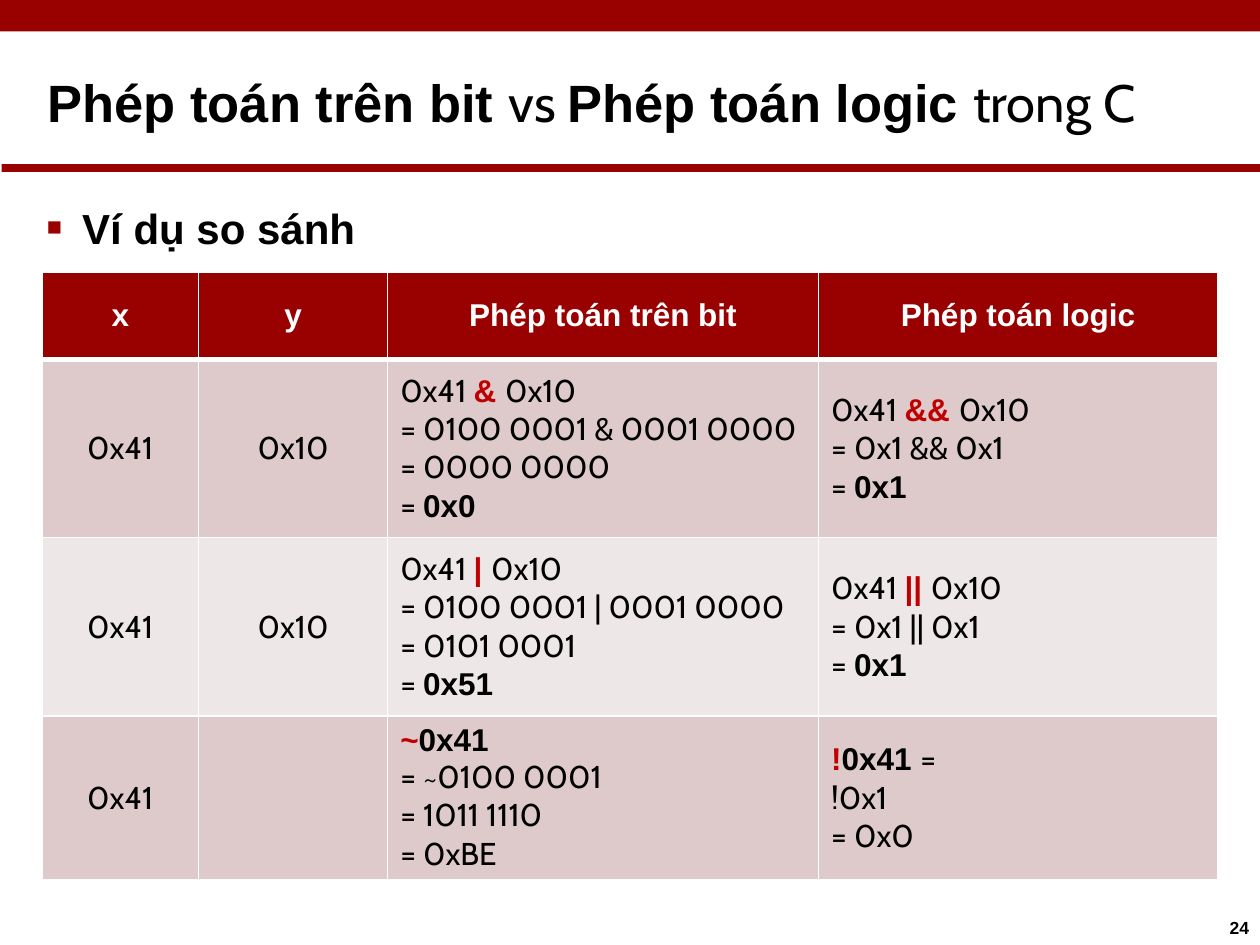
from dataclasses import dataclass
from typing import NamedTuple

from lxml.etree import SubElement
from pptx import Presentation
from pptx.dml.color import RGBColor
from pptx.enum.shapes import MSO_SHAPE
from pptx.enum.text import MSO_ANCHOR, PP_ALIGN
from pptx.oxml import parse_xml
from pptx.oxml.ns import nsdecls, qn
from pptx.util import Pt


@dataclass(frozen=True)
class Theme:
    heading_font: str = "Arial"
    body_font: str = "Cabin"
    black: str = "000000"
    white: str = "FFFFFF"
    band: str = "990000"
    operator: str = "C00000"
    dark_row: str = "DECACA"
    light_row: str = "EEE7E7"
    title_size: float = 30
    topic_size: float = 24
    table_size: float = 18
    number_size: float = 10


class Span(NamedTuple):
    text: str
    bold: bool = False
    color: str = "000000"


class Area(NamedTuple):
    left: float
    top: float
    width: float
    height: float


class Label(NamedTuple):
    area: Area
    spans: list
    size: float
    bullet: bool = False


class Row(NamedTuple):
    height: float
    fill: str
    cells: list


THEME = Theme()
COLUMN_WIDTHS = (89.5, 108, 246.25, 228)


def strong(text):
    return Span(text, True)


def operator(text):
    return Span(text, True, THEME.operator)


def header(text):
    return [[Span(text, True, THEME.white)]]


def value(text):
    return [[Span(text)]]


def comparison(symbol, steps, result):
    return [
        [Span("0x41 "), operator(f"{symbol} "), Span("0x10")],
        *[[Span(f"= {step}")] for step in steps],
        [Span("= "), strong(result)],
    ]


BANDS = (Area(0, 0, 720, 18), Area(1, 93.75, 719, 4.5))

LABELS = (
    Label(
        Area(27.25, 39.75, 680, 40),
        [strong("Phép toán trên bit "), Span("vs "), strong("Phép toán logic "), Span("trong C")],
        THEME.title_size,
    ),
    Label(Area(26, 115.5, 300, 30), [strong("Ví dụ so sánh")], THEME.topic_size, True),
    Label(Area(702.75, 523.75, 16, 14), [strong("24")], THEME.number_size),
)

ROWS = (
    Row(49.5, THEME.band, [header(name) for name in ("x", "y", "Phép toán trên bit", "Phép toán logic")]),
    Row(102, THEME.dark_row, [
        value("0x41"),
        value("0x10"),
        comparison("&", ["0100 0001 & 0001 0000", "0000 0000"], "0x0"),
        comparison("&&", ["0x1 && 0x1"], "0x1"),
    ]),
    Row(102, THEME.light_row, [
        value("0x41"),
        value("0x10"),
        comparison("|", ["0100 0001 | 0001 0000", "0101 0001"], "0x51"),
        comparison("||", ["0x1 || 0x1"], "0x1"),
    ]),
    Row(93.5, THEME.dark_row, [
        value("0x41"),
        [],
        [[operator("~"), strong("0x41")], [Span("= ~0100 0001")], [Span("= 1011 1110")], [Span("= 0xBE")]],
        [[operator("!"), strong("0x41 "), Span("=")], [Span("!0x1")], [Span("= 0x0")]],
    ]),
)


def apply(target, values: dict) -> None:
    for name, setting in values.items():
        setattr(target, name, setting)


def write_spans(para, spans: list, size: float) -> None:
    for span in spans:
        run = para.add_run()
        run.text = span.text
        font_name = THEME.heading_font if span.bold else THEME.body_font
        apply(run.font, {"size": Pt(size), "bold": span.bold, "name": font_name})
        run.font.color.rgb = RGBColor.from_string(span.color)


def add_bullet(para) -> None:
    properties = para._p.get_or_add_pPr()
    apply_indent = {"marL": Pt(21), "indent": Pt(-20.25)}
    for name, length in apply_indent.items():
        properties.set(name, str(int(length)))
    color = SubElement(properties, qn("a:buClr"))
    SubElement(color, qn("a:srgbClr"), val=THEME.band)
    SubElement(properties, qn("a:buSzPct"), val="60000")
    SubElement(properties, qn("a:buFont"), typeface=THEME.heading_font)
    SubElement(properties, qn("a:buChar"), char="■")


def draw_band(page, area: Area) -> None:
    band = page.shapes.add_shape(MSO_SHAPE.RECTANGLE, *map(Pt, area))
    band.shadow.inherit = False
    band.fill.solid()
    band.fill.fore_color.rgb = RGBColor.from_string(THEME.band)
    band.line.fill.background()


def draw_label(page, label: Label) -> None:
    box = page.shapes.add_textbox(*map(Pt, label.area))
    frame = box.text_frame
    margins = dict.fromkeys(("margin_left", "margin_top", "margin_right", "margin_bottom"), 0)
    apply(frame, {"word_wrap": True, **margins})
    para = frame.paragraphs[0]
    if label.bullet:
        add_bullet(para)
    write_spans(para, label.spans, label.size)


def set_borders(cell, top: float, bottom: float) -> None:
    properties = cell._tc.get_or_add_tcPr()
    widths = {"lnL": 1, "lnR": 1, "lnT": top, "lnB": bottom}
    for position, (side, width) in enumerate(widths.items()):
        properties.insert(position, parse_xml(
            f'<a:{side} {nsdecls("a")} w="{int(Pt(width))}"><a:solidFill>'
            f'<a:srgbClr val="{THEME.white}"/></a:solidFill></a:{side}>'
        ))


def fill_cell(cell, lines: list, fill: str, centered: bool) -> None:
    margin = 0 if centered else Pt(7.25)
    apply(cell, {
        "margin_left": margin,
        "margin_right": 0,
        "margin_top": 0,
        "margin_bottom": 0,
        "vertical_anchor": MSO_ANCHOR.MIDDLE,
    })
    cell.fill.solid()
    cell.fill.fore_color.rgb = RGBColor.from_string(fill)
    frame = cell.text_frame
    for index, spans in enumerate(lines):
        para = frame.add_paragraph() if index else frame.paragraphs[0]
        para.alignment = PP_ALIGN.CENTER if centered else PP_ALIGN.LEFT
        write_spans(para, spans, THEME.table_size)


def draw_table(page, left: float, top: float) -> None:
    width, height = sum(COLUMN_WIDTHS), sum(row.height for row in ROWS)
    area = Area(left, top, width, height)
    table = page.shapes.add_table(len(ROWS), len(COLUMN_WIDTHS), *map(Pt, area)).table
    apply(table, {"first_row": False, "horz_banding": False})
    for column, column_width in zip(table.columns, COLUMN_WIDTHS):
        column.width = Pt(column_width)
    for row_index, row in enumerate(ROWS):
        table.rows[row_index].height = Pt(row.height)
        for column_index, lines in enumerate(row.cells):
            cell = table.cell(row_index, column_index)
            fill_cell(cell, lines, row.fill, row_index == 0 or column_index < 2)
            set_borders(cell, 3 if row_index == 1 else 1, 3 if row_index == 0 else 1)


def main() -> None:
    deck = Presentation()
    apply(deck, {"slide_width": Pt(720), "slide_height": Pt(540)})
    page = deck.slides.add_slide(deck.slide_layouts[6])
    for area in BANDS:
        draw_band(page, area)
    for label in LABELS:
        draw_label(page, label)
    draw_table(page, 24, 155.75)
    deck.save("out.pptx")


if __name__ == "__main__":
    main()
